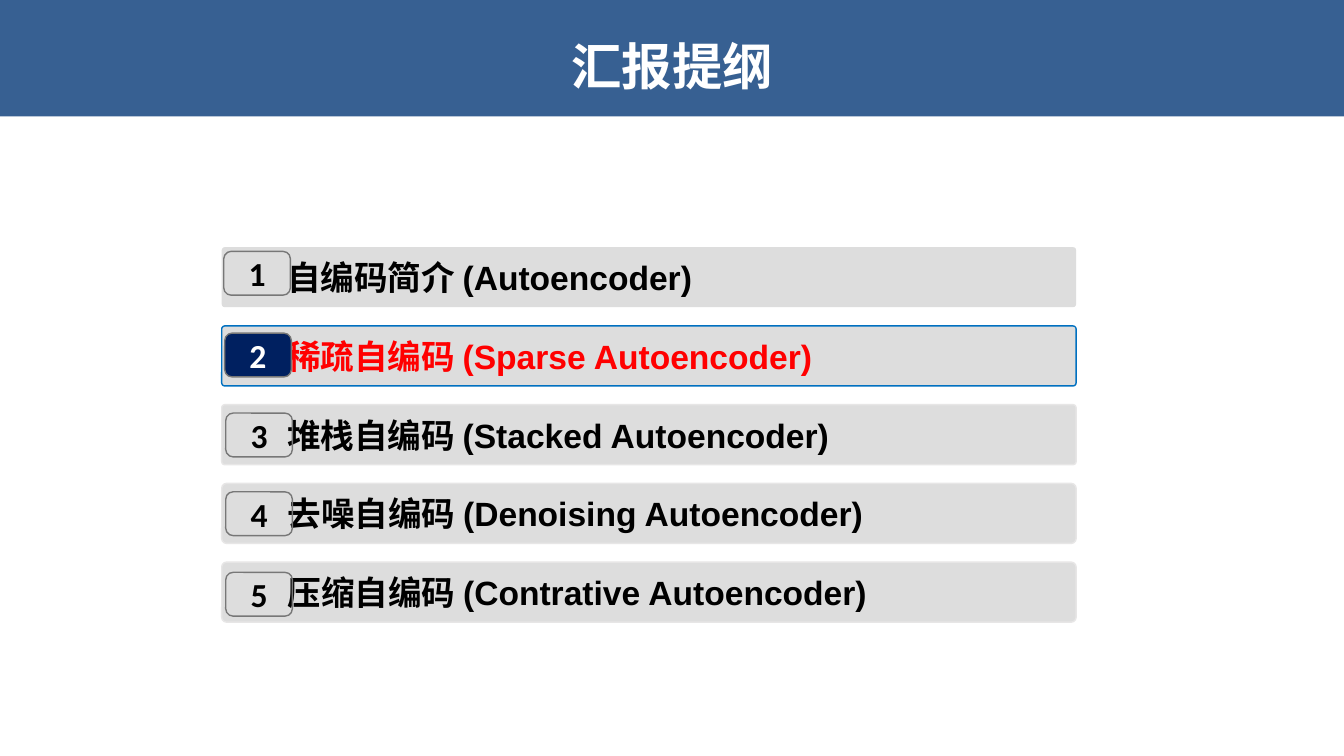
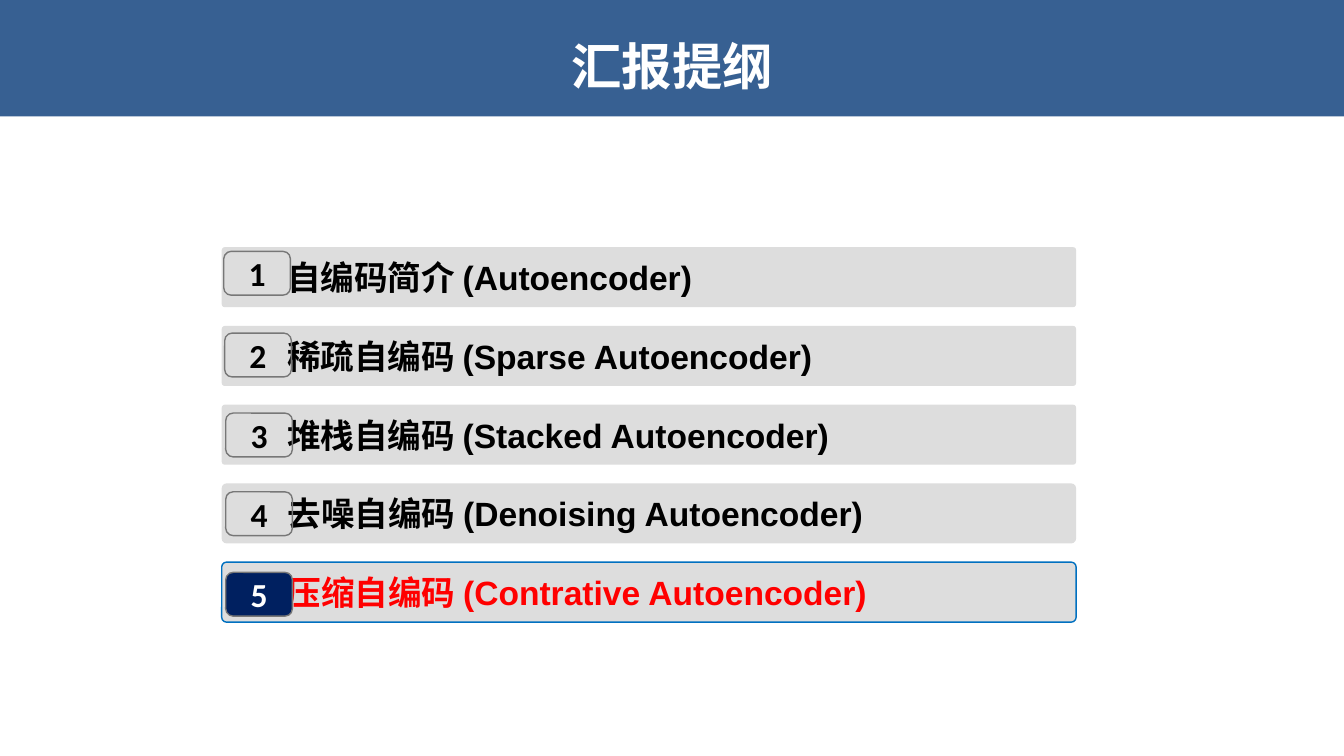
from lxml import etree
from pptx import Presentation
from pptx import util as u
from pptx.dml.color import RGBColor
from pptx.enum import shapes, text
from pptx.oxml.ns import qn

CJK = "Noto Sans CJK SC"
BLUE, NAVY, EDGE = "376092", "002060", "0070C0"
GREY, PALE, RIM = "DDDDDD", "E7E6E6", "777777"
WHITE, BLACK, RED = "FFFFFF", "000000", "FF0000"

TITLE = "汇报提纲"
TOPICS = [
    "自编码简介 (Autoencoder)",
    "稀疏自编码 (Sparse Autoencoder)",
    "堆栈自编码 (Stacked Autoencoder)",
    "去噪自编码 (Denoising Autoencoder)",
    "压缩自编码 (Contrative Autoencoder)",
]
ROUND = [0.05, 0.05, 0.05, 0.08, 0.08]
NUDGE = [(0.24, 7), (0.35, 12), (0.47, 14), (0.47, 14), (0.47, 17)]
PLAIN = [None, None, PALE, PALE, PALE]
BARE = [None] * len(TOPICS)


def part(box, x, y, w, h):
    """Return the box that lies at the given percentages of another box."""
    left, top, wide, high = box
    return (left + wide * x / 100, top + high * y / 100,
            wide * w / 100, high * h / 100)


def place(shape, box):
    """Move and size a shape to fit a box."""
    shape.left, shape.top, shape.width, shape.height = map(round, box)


def paint(style, color):
    """Give a fill or a line's fill a solid colour, or none."""
    if color is None:
        style.background()
    else:
        style.solid()
        style.fore_color.rgb = RGBColor.from_string(color)


def write(shape, words, size, face, color, align, inset):
    """Set one bold paragraph in a shape."""
    frame = shape.text_frame
    frame.word_wrap = True
    frame.auto_size = text.MSO_AUTO_SIZE.NONE
    frame.vertical_anchor = text.MSO_ANCHOR.MIDDLE
    (frame.margin_left, frame.margin_top,
     frame.margin_right, frame.margin_bottom) = map(u.Inches, inset)
    frame.text = words
    line = frame.paragraphs[0]
    line.alignment = align
    for run in line.runs:
        font = run.font
        font.size, font.bold = u.Pt(size), True
        paint(font.fill, color)
        font.name = face
        east = etree.SubElement(run._r.get_or_add_rPr(), qn("a:ea"))
        east.set("typeface", CJK)


def panel(slide, box, curve, fill, edge):
    """Draw a rounded panel."""
    shape = slide.shapes.add_shape(
        shapes.MSO_SHAPE.ROUNDED_RECTANGLE, *map(round, box))
    shape.shadow.inherit = False
    shape.adjustments[0] = curve
    paint(shape.fill, fill)
    paint(shape.line.fill, edge)
    if edge:
        shape.line.width = u.Pt(1)
    return shape


def banner(slide, box):
    """Turn the title placeholder into the top band."""
    head = slide.shapes.title
    place(head, box)
    paint(head.fill, BLUE)
    write(head, TITLE, 36, CJK, WHITE, text.PP_ALIGN.CENTER,
          (0.1, 0.05, 0.1, 0.05))
    head.text_frame.vertical_anchor = text.MSO_ANCHOR.TOP
    head.text_frame.paragraphs[0].line_spacing = 1.5


def entry(slide, box, row, live, edge):
    """Draw one topic bar with its number badge."""
    bar = panel(slide, box, ROUND[row], GREY, EDGE if live else edge)
    write(bar, TOPICS[row], 24, "Arial", RED if live else BLACK,
          text.PP_ALIGN.LEFT, (0.64, 0, 0, 0))
    badge = panel(slide, part(box, *NUDGE[row], 7.8, 73), 0.17,
                  NAVY if live else None, RIM)
    write(badge, str(row + 1), 24, "Calibri", WHITE if live else BLACK,
          text.PP_ALIGN.CENTER, (0, 0, 0, 0))


def agenda(slide, box, live, edges):
    """Stack the topic bars at equal steps, one of them highlighted."""
    high = 16
    step = (100 - high) / (len(TOPICS) - 1)
    for row, edge in enumerate(edges):
        entry(slide, part(box, 0, row * step, 100, high),
              row, row == live, edge)


def main():
    """Build the two outline slides."""
    deck = Presentation()
    deck.slide_width, deck.slide_height = u.Inches(13.34), u.Inches(7.5)
    page = (0, 0, deck.slide_width, deck.slide_height)
    for live, edges in ((1, PLAIN), (4, BARE)):
        slide = deck.slides.add_slide(deck.slide_layouts[5])
        banner(slide, part(page, 0, 0, 100, 15.4))
        agenda(slide, part(page, 16.5, 32.7, 63.57, 49.6), live, edges)
    deck.save("out.pptx")


if __name__ == "__main__":
    main()
